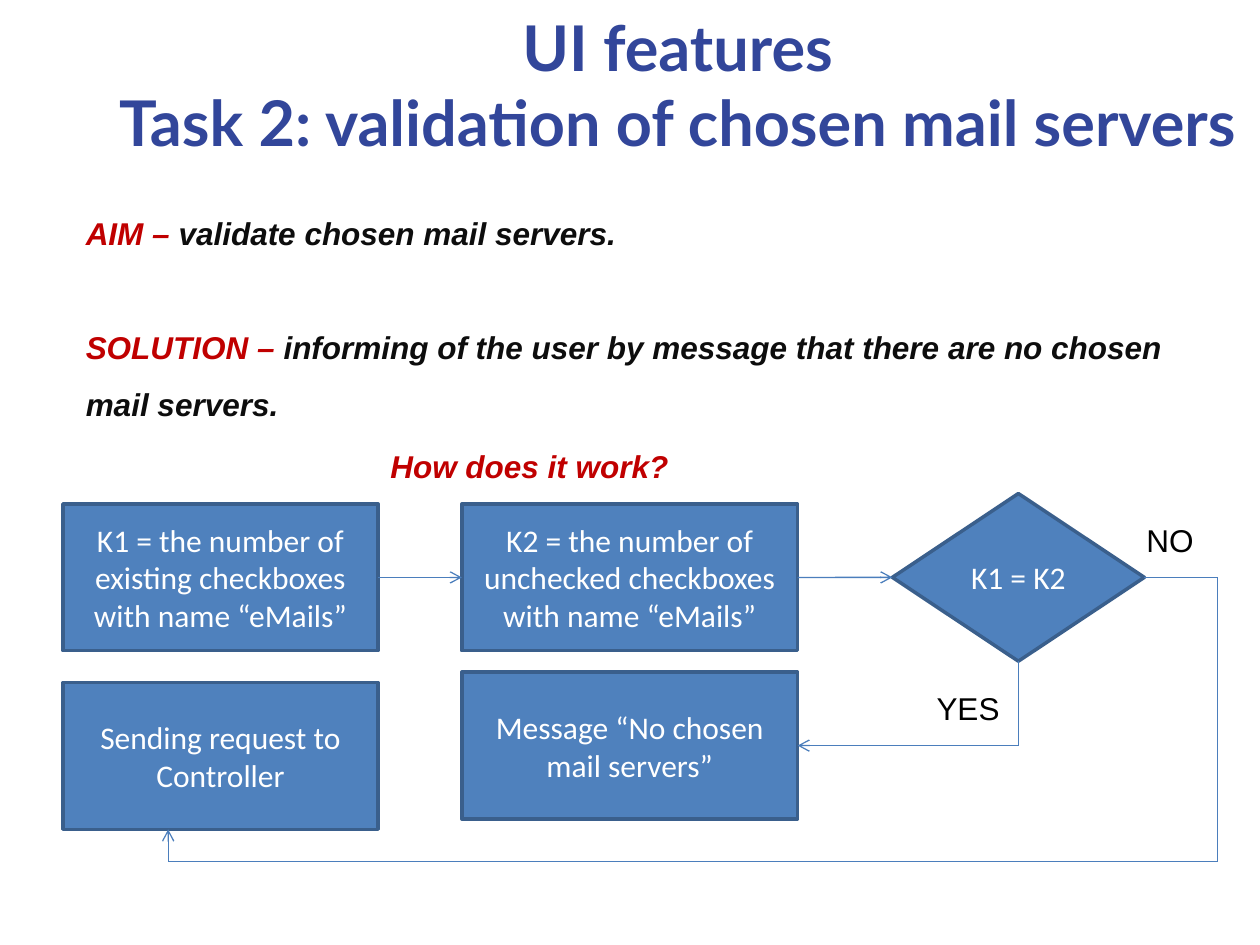
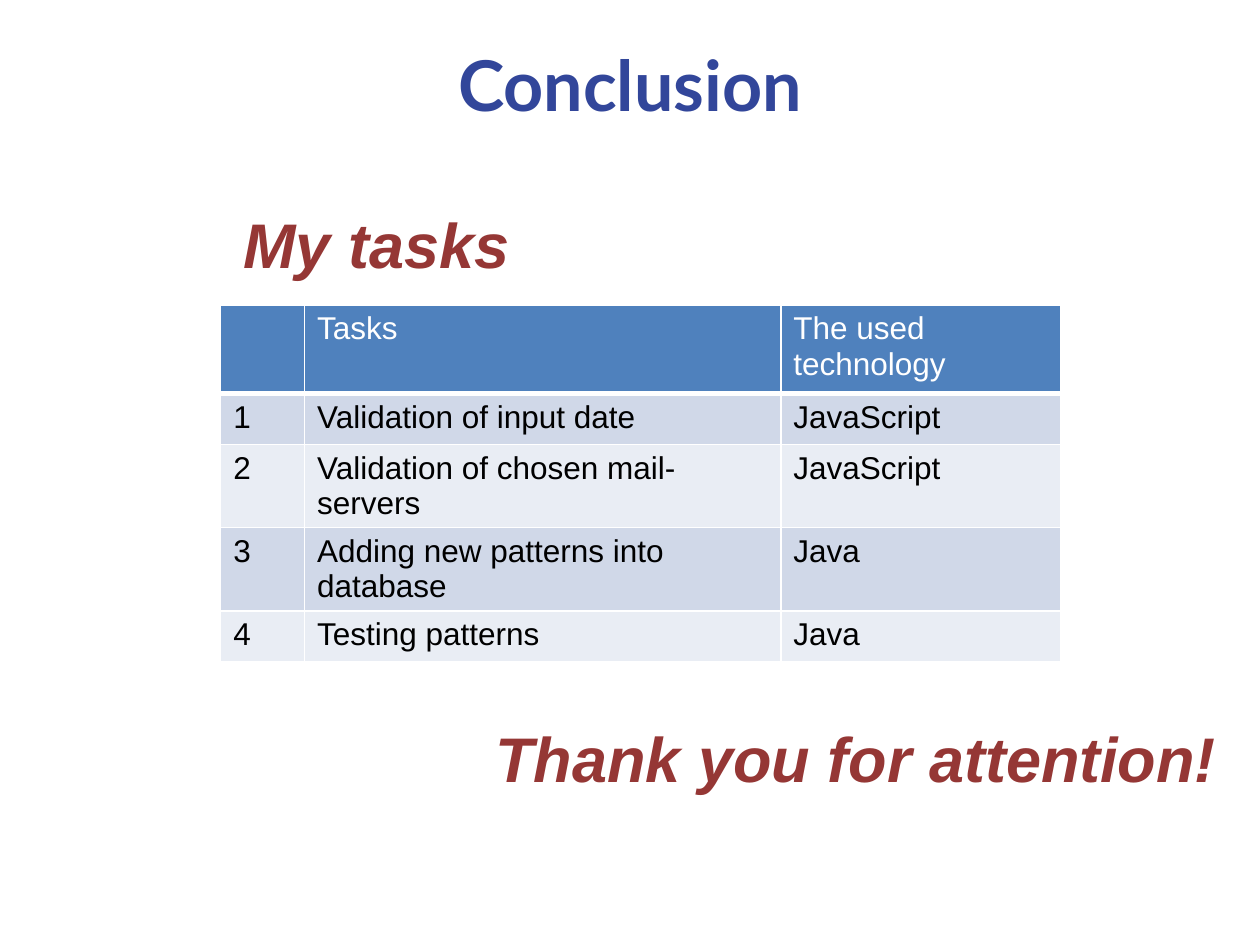
import pptx
import pptx.dml.color
import pptx.enum.shapes
import pptx.enum.text
import pptx.oxml.ns
import pptx.util
from lxml import etree
from pptx.util import Cm, Pt

SHAPES = pptx.enum.shapes.MSO_SHAPE
ALIGN = pptx.enum.text.PP_ALIGN
ANCHOR = pptx.enum.text.MSO_ANCHOR
FIT = pptx.enum.text.MSO_AUTO_SIZE
qn = pptx.oxml.ns.qn

# Shared colours and fonts
NAVY, RED, MAROON, INK = "32469A", "C00000", "953735", "0D0D0D"
BLUE, EDGE, WIRE = "4F81BD", "3A5F8C", "4B7EBC"
BANDS = ("D0D8E8", "E9EDF4")
WHITE, BLACK = "FFFFFF", "000000"
TITLE_FONT, BODY_FONT, BOX_FONT = "Lato", "Arial", "Calibri"

# Content: lengths in cm
FLOW_TITLE = "UI features\vTask 2: validation of chosen mail servers"
GOALS = [
    [("AIM – ", RED), ("validate chosen mail servers.", INK)],
    [("SOLUTION – ", RED),
     ("informing of the user by message that there are no chosen mail servers.", INK)],
]
RECT, DECISION = SHAPES.RECTANGLE, SHAPES.FLOWCHART_DECISION
STEPS = {  # name: text, preset, left, top, width, height
    "existing": ("K1 = the number of existing checkboxes with name “eMails”",
                 RECT, 1.27, 10.16, 6.35, 2.96),
    "unchecked": ("K2 = the number of unchecked checkboxes with name “eMails”",
                  RECT, 9.31, 10.16, 6.77, 2.96),
    "decision": ("K1 = K2", DECISION, 17.99, 9.95, 5.08, 3.38),
    "message": ("Message “No chosen mail servers”", RECT, 9.31, 13.55, 6.77, 2.96),
    "request": ("Sending request to Controller", RECT, 1.27, 13.76, 6.35, 2.96),
}
BRANCHES = [("YES", 18.63, 13.76, 1.8), ("NO", 22.86, 10.37, 1.47)]
NO_RIGHT, NO_BOTTOM, NO_ENTRY = Cm(24.55), Cm(17.36), Cm(3.39)

TASKS = [
    ("", "Tasks", "The used technology"),
    ("1", "Validation of input date", "JavaScript"),
    ("2", "Validation of chosen mail-servers", "JavaScript"),
    ("3", "Adding new patterns into database", "Java"),
    ("4", "Testing patterns", "Java"),
]
TASK_COLS = (1.69, 9.6, 5.64)
HEAD_ROW, TASK_ROW = 1.78, 1.03
REMARKS = [("My tasks", 4.66, 4.02, 5.93), ("Thank you for attention!", 9.74, 14.39, 15.19)]


def rgb(value):
    return pptx.dml.color.RGBColor.from_string(value)


def style(p, font, size, color, bold=False, italic=False):
    for r in p.runs:
        f = r.font
        f.name, f.size, f.bold, f.italic = font, Pt(size), bold, italic
        f.color.rgb = rgb(color)


def add_slide(prs, title, left, width, size):
    slide = prs.slides.add_slide(prs.slide_layouts[5])
    s = slide.shapes.title
    s.left, s.top, s.width, s.height = Cm(left), Cm(0.42), Cm(width), Cm(2.54)
    tf = s.text_frame
    tf.text = title
    tf.vertical_anchor = ANCHOR.MIDDLE
    tf.auto_size = FIT.NONE
    tf.paragraphs[0].alignment = ALIGN.CENTER
    style(tf.paragraphs[0], TITLE_FONT, size, NAVY, bold=True)
    return slide


def add_label(slide, text, left, top, width, height, size, color, strong=False):
    tf = slide.shapes.add_textbox(Cm(left), Cm(top), Cm(width), Cm(height)).text_frame
    tf.word_wrap = False
    tf.auto_size = FIT.SHAPE_TO_FIT_TEXT
    tf.text = text
    style(tf.paragraphs[0], BODY_FONT, size, color, strong, strong)


def add_goals(slide):
    tf = slide.shapes.add_textbox(Cm(1.48), Cm(3.81), Cm(22.86), Cm(4.88)).text_frame
    tf.word_wrap = True
    for i, goal in enumerate(GOALS):
        p = tf.add_paragraph() if i else tf.paragraphs[0]
        p.line_spacing = 1.5
        if i:
            p.space_before = Pt(33)
        for text, color in goal:
            r = p.add_run()
            r.text = text
            r.font.color.rgb = rgb(color)
            r.font.name, r.font.size = BODY_FONT, Pt(18)
            r.font.bold = r.font.italic = True


def add_step(slide, text, preset, *place):
    s = slide.shapes.add_shape(preset, *map(Cm, place))
    s.shadow.inherit = False
    s.fill.solid()
    s.fill.fore_color.rgb = rgb(BLUE)
    s.line.color.rgb = rgb(EDGE)
    s.line.width = Pt(2)
    tf = s.text_frame
    tf.word_wrap = True
    tf.vertical_anchor = ANCHOR.MIDDLE
    tf.text = text
    tf.paragraphs[0].alignment = ALIGN.CENTER
    style(tf.paragraphs[0], BOX_FONT, 18, WHITE)
    return s


def add_wire(slide, start, end, arrow=False):
    """Each end is a point (x, y) or a joint (shape, side)."""
    straight = pptx.enum.shapes.MSO_CONNECTOR.STRAIGHT
    points = [(0, 0) if hasattr(e[0], "shape_id") else e for e in (start, end)]
    c = slide.shapes.add_connector(straight, *points[0], *points[1])
    for joint, connect in ((start, c.begin_connect), (end, c.end_connect)):
        if hasattr(joint[0], "shape_id"):
            connect(*joint)
    c.line.color.rgb = rgb(WIRE)
    c.line.width = Pt(0.75)
    if arrow:
        etree.SubElement(c.line._get_or_add_ln(), qn("a:tailEnd"), type="arrow")
    etree.SubElement(c._element.spPr, qn("a:effectLst"))


def set_borders(cell, bottom):
    tcPr = cell._tc.get_or_add_tcPr()
    for side, width in (("L", 1), ("R", 1), ("T", 1), ("B", bottom)):
        ln = etree.SubElement(tcPr, qn("a:ln" + side), w=str(Pt(width)))
        fill = etree.SubElement(ln, qn("a:solidFill"))
        etree.SubElement(fill, qn("a:srgbClr"), val=WHITE)


def add_task_table(slide):
    heights = [HEAD_ROW] + [TASK_ROW] * (len(TASKS) - 1)
    table = slide.shapes.add_table(len(TASKS), len(TASK_COLS), Cm(4.45), Cm(6.15),
                                   Cm(sum(TASK_COLS)), Cm(sum(heights))).table
    for col, width in zip(table.columns, TASK_COLS):
        col.width = Cm(width)
    for i, (row, height, texts) in enumerate(zip(table.rows, heights, TASKS)):
        row.height = Cm(height)
        for cell, text in zip(row.cells, texts):
            set_borders(cell, 1 if i else 3)
            cell.fill.solid()
            cell.fill.fore_color.rgb = rgb(BANDS[(i - 1) % 2] if i else BLUE)
            cell.text = text
            style(cell.text_frame.paragraphs[0], BODY_FONT, 18, BLACK if i else WHITE)


def build_flow(prs):
    slide = add_slide(prs, FLOW_TITLE, 0.64, 26.04, 36)
    add_goals(slide)
    add_label(slide, "How does it work?", 7.62, 8.89, 6.35, 1.02, 18, RED, True)
    steps = {name: add_step(slide, *step) for name, step in STEPS.items()}
    for text, left, top, width in BRANCHES:
        add_label(slide, text, left, top, width, 1.02, 18, BLACK)

    # Main line
    add_wire(slide, (steps["existing"], 3), (steps["unchecked"], 1), True)
    add_wire(slide, (steps["unchecked"], 3), (steps["decision"], 1), True)

    # YES branch
    decision, message, request = (steps[n] for n in ("decision", "message", "request"))
    yes_corner = (decision.left + decision.width // 2, message.top + message.height // 2)
    add_wire(slide, (decision, 2), yes_corner)
    add_wire(slide, yes_corner, (message, 3), True)

    # NO branch
    route = [(decision, 3),
             (NO_RIGHT, decision.top + decision.height // 2),
             (NO_RIGHT, NO_BOTTOM),
             (NO_ENTRY, NO_BOTTOM),
             (NO_ENTRY, request.top + request.height)]
    for start, end in zip(route, route[1:]):
        add_wire(slide, start, end, end is route[-1])


def build_conclusion(prs):
    slide = add_slide(prs, "Conclusion", 1.27, 22.86, 40)
    add_task_table(slide)
    for text, left, top, width in REMARKS:
        add_label(slide, text, left, top, width, 1.8, 36, MAROON, True)


def main():
    prs = pptx.Presentation()
    prs.slide_width, prs.slide_height = Cm(25.4), Cm(19.05)
    build_flow(prs)
    build_conclusion(prs)
    prs.save("out.pptx")


if __name__ == "__main__":
    main()
